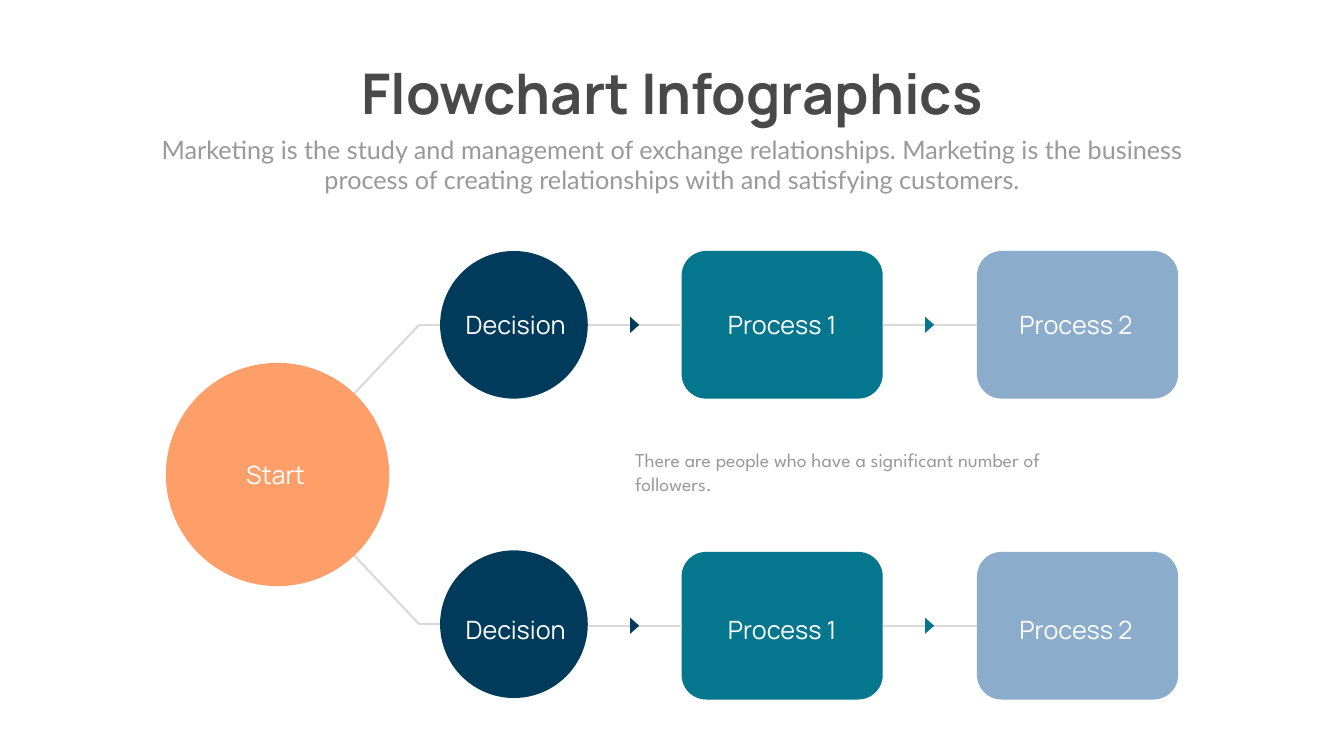
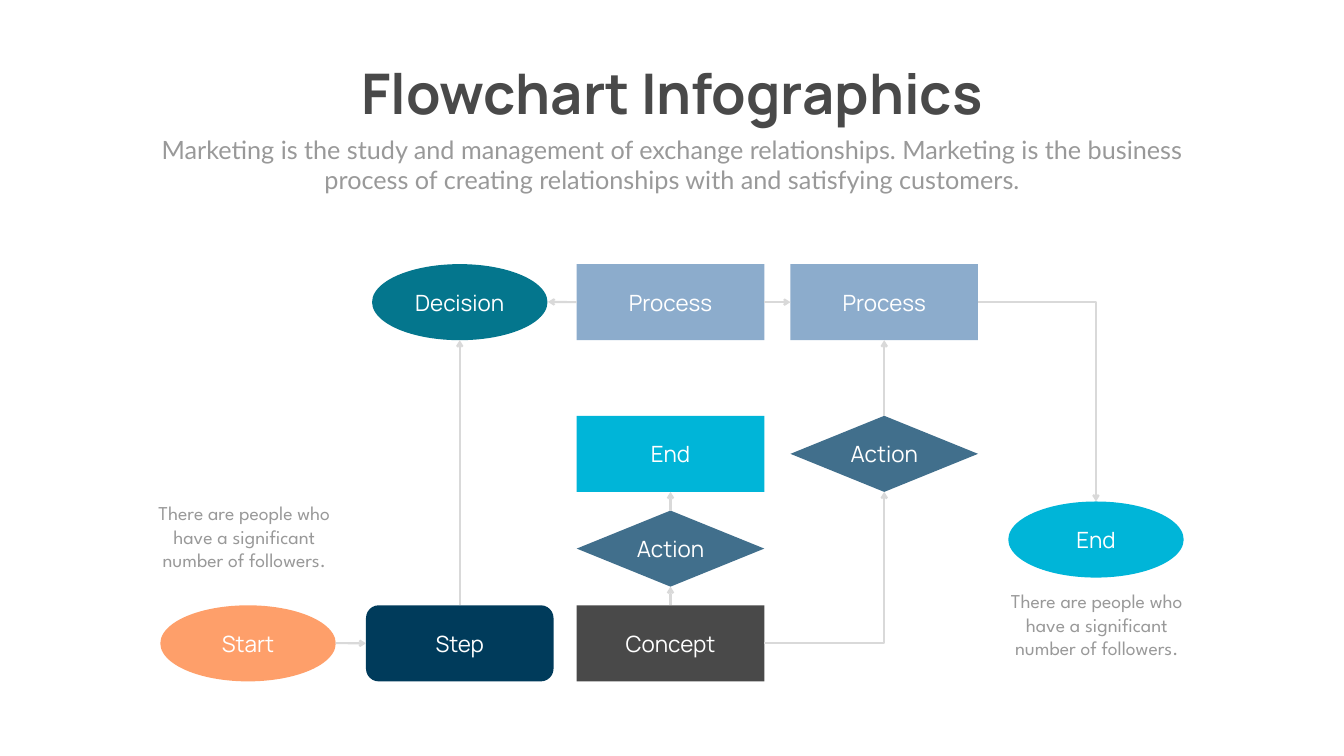
import pptx
import pptx.util
import pptx.dml.color
import pptx.enum.shapes
import pptx.enum.text
import pptx.oxml
import pptx.oxml.ns

Inches = pptx.util.Inches
Pt = pptx.util.Pt
RGBColor = pptx.dml.color.RGBColor
SHAPE = pptx.enum.shapes.MSO_SHAPE
CONNECTOR = pptx.enum.shapes.MSO_CONNECTOR
ALIGN = pptx.enum.text.PP_ALIGN
ANCHOR = pptx.enum.text.MSO_ANCHOR
AUTO_SIZE = pptx.enum.text.MSO_AUTO_SIZE

WHITE = RGBColor(0xFF, 0xFF, 0xFF)
CHARCOAL = RGBColor(0x49, 0x49, 0x49)
GREY = RGBColor(0x99, 0x99, 0x99)
LINE = RGBColor(0xD9, 0xD9, 0xD9)
ORANGE = RGBColor(0xFE, 0x9F, 0x6A)
NAVY = RGBColor(0x00, 0x3B, 0x5B)
TEAL = RGBColor(0x04, 0x76, 0x8D)
PALE_BLUE = RGBColor(0x8C, 0xAC, 0xCC)
STEEL = RGBColor(0x41, 0x6F, 0x8C)
CYAN = RGBColor(0x00, 0xB5, 0xD8)

HEAD_FONT, BODY_FONT, NOTE_FONT = "Manrope", "Lato", "League Spartan"
TOP, LEFT, BOTTOM, RIGHT = range(4)

TITLE = "Flowchart Infographics"
SUBTITLE = ("Marketing is the study and management of exchange relationships. "
            "Marketing is the business process of creating relationships "
            "with and satisfying customers.")
NOTE = "There are people who have a significant number of followers."


class Deck:
    """Holds the presentation, its style and the current slide."""

    def __init__(self):
        self.prs = pptx.Presentation()
        self.prs.slide_width = Inches(26.66)
        self.prs.slide_height = Inches(15)
        self.slide = None

    def new_slide(self):
        self.slide = self.prs.slides.add_slide(self.prs.slide_layouts[6])
        self.text(TITLE, 6.55, 1.12, 13.57, 1.45, 80, HEAD_FONT, CHARCOAL,
                  bold=True, wrap=False)
        self.text(SUBTITLE, 2.92, 2.61, 20.82, 1.31, 36, BODY_FONT, GREY)

    def set_text(self, tf, text, size, font, color, align=ALIGN.CENTER, bold=False):
        p = tf.paragraphs[0]
        p.text = text
        p.alignment = align
        p.font.size = Pt(size)
        p.font.name = font
        p.font.bold = bold
        p.font.color.rgb = color

    def text(self, text, x, y, w, h, size, font, color, align=ALIGN.CENTER,
             bold=False, wrap=True, inset=True):
        sp = self.slide.shapes.add_textbox(Inches(x), Inches(y), Inches(w), Inches(h))
        tf = sp.text_frame
        tf.word_wrap = wrap
        tf.auto_size = AUTO_SIZE.SHAPE_TO_FIT_TEXT
        if not inset:
            tf.margin_left = tf.margin_right = tf.margin_top = tf.margin_bottom = 0
        self.set_text(tf, text, size, font, color, align, bold)

    def label(self, text, x, y, w):
        self.text(text, x, y, w, 0.61, 36, HEAD_FONT, WHITE, inset=False)

    def note(self, x, y, w, h, align=ALIGN.CENTER):
        self.text(NOTE, x, y, w, h, 28, NOTE_FONT, GREY, align)

    def shape(self, kind, x, y, w, h, fill, text=None):
        sp = self.slide.shapes.add_shape(kind, Inches(x), Inches(y), Inches(w), Inches(h))
        sp.shadow.inherit = False
        sp.fill.solid()
        sp.fill.fore_color.rgb = fill
        sp.line.fill.background()
        if text:
            sp.text_frame.vertical_anchor = ANCHOR.MIDDLE
            self.set_text(sp.text_frame, text, 32, HEAD_FONT, WHITE)
        return sp

    def line(self, start, end, begin=None, finish=None, arrow=False, bent=False):
        """Draw a connector; begin and finish are (shape, side) to join."""
        kind = CONNECTOR.ELBOW if bent else CONNECTOR.STRAIGHT
        cn = self.slide.shapes.add_connector(
            kind, Inches(start[0]), Inches(start[1]), Inches(end[0]), Inches(end[1]))
        cn.line.color.rgb = LINE
        cn.line.width = Pt(3)
        sp_pr = cn._element.spPr
        if bent:
            sp_pr.find(pptx.oxml.ns.qn("a:prstGeom")).set("prst", "bentConnector2")
        if arrow:
            sp_pr.find(pptx.oxml.ns.qn("a:ln")).append(pptx.oxml.parse_xml(
                '<a:tailEnd %s type="arrow"/>' % pptx.oxml.ns.nsdecls("a")))
        sp_pr.append(pptx.oxml.parse_xml(
            "<a:effectLst %s/>" % pptx.oxml.ns.nsdecls("a")))
        if begin:
            cn.begin_connect(*begin)
        if finish:
            cn.end_connect(*finish)


def build_branches(deck):
    deck.new_slide()

    # Branches from the start circle
    for y_start, y_end in ((8.27, 6.44), (10.56, 12.39)):
        deck.line((6.59, y_start), (8.32, y_end))
        deck.line((8.32, y_end), (9, y_end))
    deck.shape(SHAPE.OVAL, 3.29, 7.2, 4.43, 4.43, ORANGE)
    deck.label("Start", 4.38, 9.12, 2.17)

    # Two rows: decision, process 1, process 2
    for circle_y, box_y, label_y in ((4.98, 4.98, 6.13), (10.92, 10.95, 12.19)):
        mid = box_y + 2.93 / 2
        deck.shape(SHAPE.OVAL, 8.73, circle_y, 2.93, 2.93, NAVY)
        first, second = [
            deck.shape(SHAPE.ROUNDED_RECTANGLE, x, box_y, 3.99, 2.93, fill)
            for x, fill in ((13.52, TEAL), (19.38, PALE_BLUE))]
        deck.line((11.66, mid), (13.52, mid), finish=(first, LEFT))
        deck.line((17.51, mid), (19.38, mid), (first, RIGHT), (second, LEFT))
        for x, fill in ((12.43, NAVY), (18.28, TEAL)):
            sp = deck.shape(SHAPE.ISOSCELES_TRIANGLE, x, mid - 0.09, 0.32, 0.18, fill)
            sp.rotation = 90
        deck.label("Decision", 8.66, label_y, 3.14)
        deck.label("Process 1", 14.18, label_y, 2.67)
        deck.label("Process 2", 20.01, label_y, 2.67)

    deck.note(12.5, 8.84, 8.64, 1.04, ALIGN.LEFT)


def build_network(deck):
    deck.new_slide()
    box_w, oval_w, h = 3.72, 3.48, 1.51
    col_1, col_2, col_3 = 7.26, 11.44, 15.68
    row_top, row_mid, row_low = 5.24, 8.25, 12.01

    def box(kind, x, y, fill, text):
        return deck.shape(kind, x, y, box_w, h, fill, text)

    def oval(x, y, fill, text):
        return deck.shape(SHAPE.OVAL, x, y, oval_w, h, fill, text)

    # Nodes
    oval(3.18, row_low, ORANGE, "Start")
    step = box(SHAPE.ROUNDED_RECTANGLE, col_1, row_low, NAVY, "Step")
    concept = box(SHAPE.RECTANGLE, col_2, row_low, CHARCOAL, "Concept")
    action_1 = box(SHAPE.FLOWCHART_DECISION, col_2, 10.13, STEEL, "Action")
    end_box = box(SHAPE.RECTANGLE, col_2, row_mid, CYAN, "End")
    action_2 = box(SHAPE.FLOWCHART_DECISION, col_3, row_mid, STEEL, "Action")
    process_1 = box(SHAPE.RECTANGLE, col_2, row_top, PALE_BLUE, "Process")
    oval(7.38, row_top, TEAL, "Decision")
    process_2 = box(SHAPE.RECTANGLE, col_3, row_top, PALE_BLUE, "Process")
    oval(20, 9.95, CYAN, "End")

    # Straight arrows
    for start, end, begin, finish in (
            ((6.66, 12.76), (7.26, 12.76), None, (step, LEFT)),
            ((9.12, 12.01), (9.12, 6.75), (step, TOP), None),
            ((11.44, 5.99), (10.87, 5.99), (process_1, LEFT), None),
            ((15.16, 5.99), (15.68, 5.99), (process_1, RIGHT), (process_2, LEFT)),
            ((13.3, 12.01), (13.3, 11.64), (concept, TOP), (action_1, BOTTOM)),
            ((13.3, 10.13), (13.3, 9.76), (action_1, TOP), (end_box, BOTTOM)),
            ((17.54, 8.25), (17.54, 6.75), (action_2, TOP), (process_2, BOTTOM))):
        deck.line(start, end, begin, finish, arrow=True)

    # Bent arrows
    deck.line((15.16, 12.76), (17.54, 9.76), arrow=True, bent=True)
    deck.line((19.4, 5.99), (21.74, 9.95), arrow=True, bent=True)

    # Notes beside the start and the end
    for x, y in ((2.89, 9.89), (19.8, 11.64)):
        deck.note(x, y, 3.91, 1.99)


def main():
    deck = Deck()
    build_branches(deck)
    build_network(deck)
    deck.prs.save("out.pptx")


if __name__ == "__main__":
    main()
